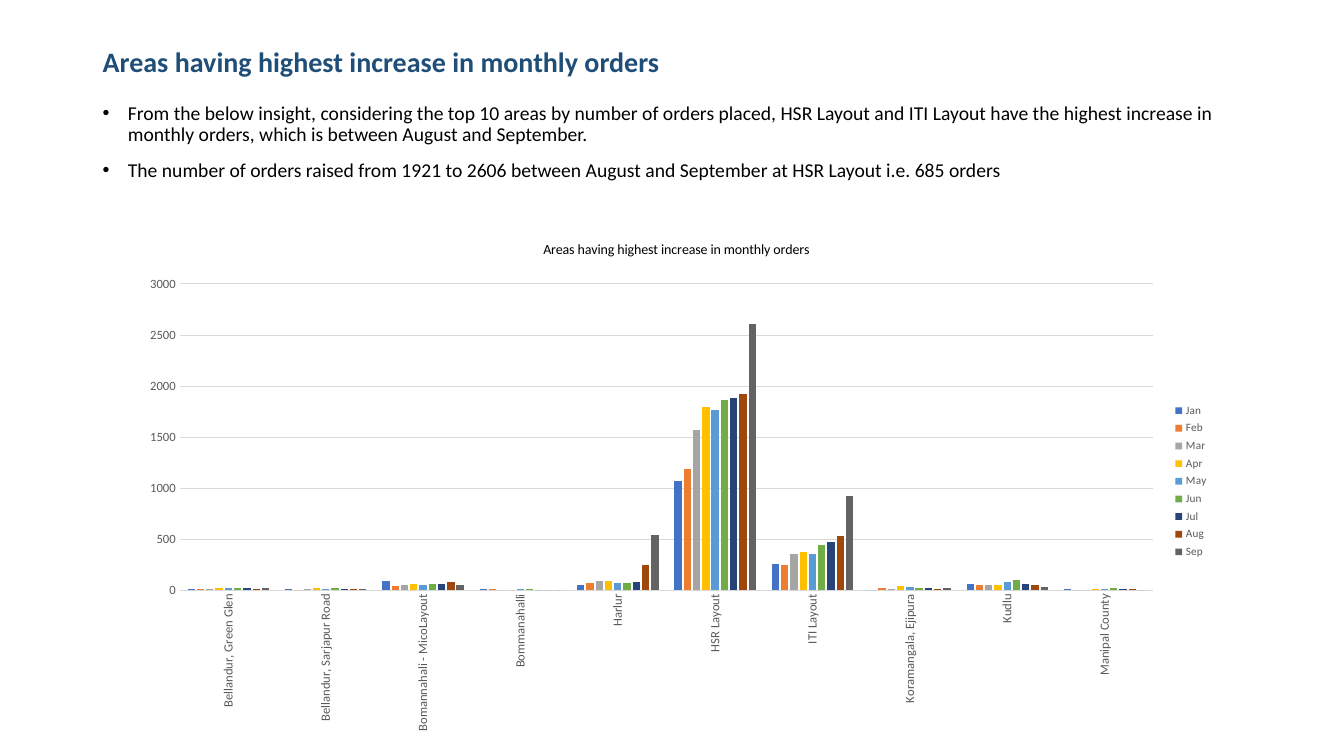
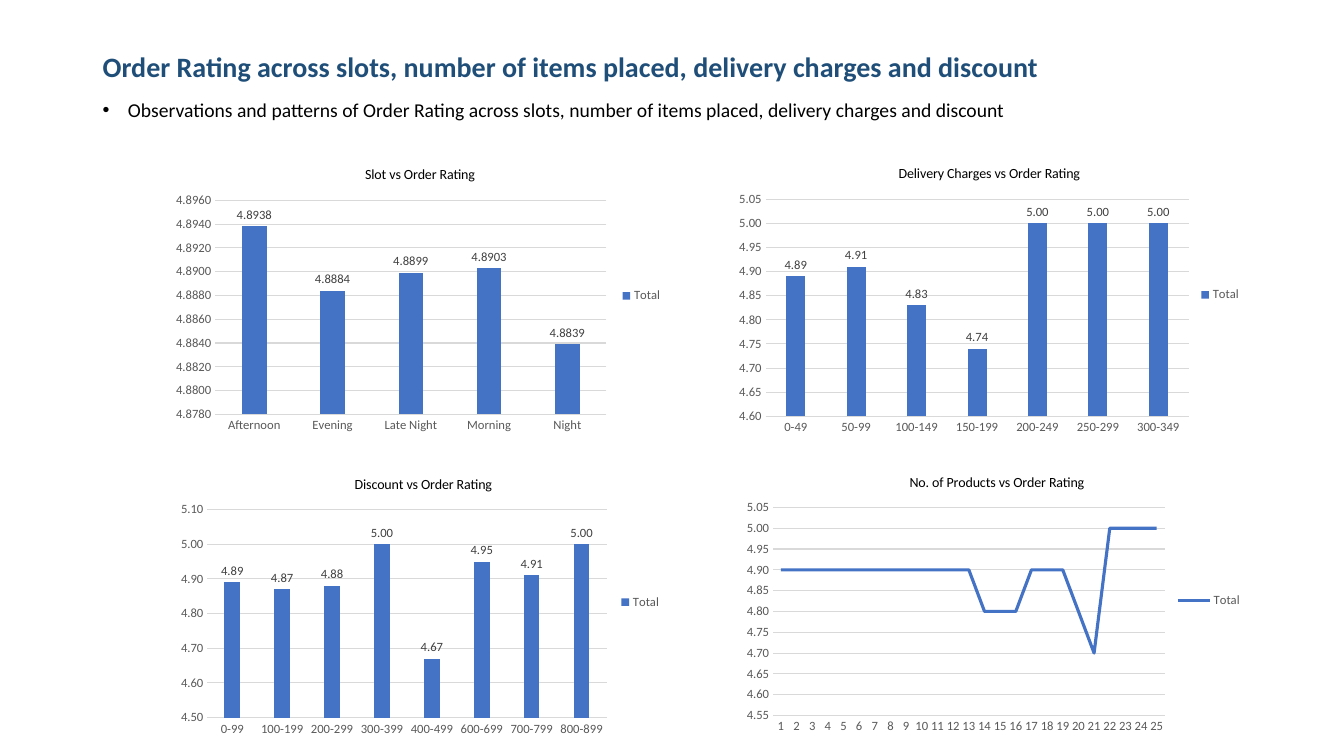
from dataclasses import dataclass, field

from lxml import etree
from pptx import Presentation
from pptx.chart.data import CategoryChartData
from pptx.dml.color import RGBColor
from pptx.enum.chart import (XL_CHART_TYPE, XL_LABEL_POSITION,
                             XL_LEGEND_POSITION, XL_TICK_MARK)
from pptx.enum.text import MSO_ANCHOR
from pptx.oxml.ns import qn
from pptx.util import Emu, Inches, Pt

COLUMN = XL_CHART_TYPE.COLUMN_CLUSTERED
LINE = XL_CHART_TYPE.LINE_STACKED
ABOVE = XL_LABEL_POSITION.OUTSIDE_END
RIGHT = XL_LEGEND_POSITION.RIGHT
NO_TICK = XL_TICK_MARK.NONE
TOP, MIDDLE = MSO_ANCHOR.TOP, MSO_ANCHOR.MIDDLE

WIDE, HIGH = Inches(13.33), Inches(7.5)


@dataclass(frozen=True)
class Theme:
    face: str = "Calibri"
    head: str = "1F4E79"
    ink: str = "000000"
    axis: str = "595959"
    label: str = "404040"
    rule: str = "D9D9D9"
    fills: tuple[str, ...] = ("4472C4", "ED7D31", "A5A5A5", "FFC000", "5B9BD5",
                              "70AD47", "264478", "9E480E", "636363")
    head_size: float = 20
    body_size: float = 14
    chart_size: float = 10
    axis_size: float = 9
    key_size: float = 8
    thin: float = 0.75
    thick: float = 2.25


THEME = Theme()


@dataclass(frozen=True)
class Box:
    """A place on the slide, in percent of its width and height."""
    left: float
    top: float
    width: float
    height: float

    def place(self) -> tuple[Emu, Emu, Emu, Emu]:
        return (Emu(int(WIDE * self.left / 100)), Emu(int(HIGH * self.top / 100)),
                Emu(int(WIDE * self.width / 100)), Emu(int(HIGH * self.height / 100)))


@dataclass(frozen=True)
class Scale:
    low: float
    high: float
    step: float
    form: str = "0.00"


@dataclass(frozen=True)
class Graph:
    """Title spot and plot frame are shares of the chart's own size."""
    title: str
    box: Box
    spot: tuple[float, float]
    frame: tuple[float, float, float, float]
    scale: Scale
    names: list[str]
    rows: dict[str, list[float]]
    kind: int = COLUMN
    labels: bool = True
    upright: bool = False
    key_size: float = THEME.axis_size


@dataclass(frozen=True)
class Page:
    title: str
    head: Box
    body: Box
    points: list[str]
    graphs: list[Graph] = field(default_factory=list)


def tint(code: str) -> RGBColor:
    return RGBColor.from_string(code)


def style(font, size: float, color: str, bold: bool = False) -> None:
    font.name, font.size, font.bold = THEME.face, Pt(size), bold
    font.color.rgb = tint(color)


def write(slide, box: Box, lines: list[str], *, size: float, color: str,
          bold: bool = False, anchor=TOP, bullet: bool = False) -> None:
    frame = slide.shapes.add_textbox(*box.place()).text_frame
    frame.word_wrap, frame.vertical_anchor = True, anchor
    for i, line in enumerate(lines):
        para = frame.paragraphs[0] if i == 0 else frame.add_paragraph()
        para.line_spacing = 0.9
        run = para.add_run()
        run.text = line
        style(run.font, size, color, bold)
        if bullet:
            para.space_before = Pt(10)
            props = para._p.get_or_add_pPr()
            props.set("marL", str(Inches(0.25)))
            props.set("indent", str(-Inches(0.25)))
            etree.SubElement(props, qn("a:buFont")).set("typeface", "Arial")
            etree.SubElement(props, qn("a:buChar")).set("char", "•")


def pin(part, shares: tuple[float, ...]) -> None:
    """Fix a chart part at x, y and, for the plot, width, height."""
    old = part.find(qn("c:layout"))
    if old is not None:
        part.remove(old)
    layout = etree.Element(qn("c:layout"))
    part.insert(0 if part.find(qn("c:tx")) is None else 1, layout)
    manual = etree.SubElement(layout, qn("c:manualLayout"))
    pairs = [("xMode", "edge"), ("yMode", "edge"), *zip("xywh", shares)]
    if len(shares) == 4:
        pairs.insert(0, ("layoutTarget", "inner"))
    for tag, value in pairs:
        etree.SubElement(manual, qn(f"c:{tag}")).set("val", str(value))


def set_axes(chart, graph: Graph) -> None:
    base, side = chart.category_axis, chart.value_axis
    for axis in (base, side):
        axis.major_tick_mark = axis.minor_tick_mark = NO_TICK
        style(axis.tick_labels.font, THEME.axis_size, THEME.axis)
    base.has_major_gridlines, side.has_major_gridlines = False, True
    for line in (base.format.line, side.major_gridlines.format.line):
        line.color.rgb, line.width = tint(THEME.rule), Pt(THEME.thin)
    side.format.line.fill.background()
    scale = graph.scale
    side.minimum_scale, side.maximum_scale = scale.low, scale.high
    side.major_unit = scale.step
    side.tick_labels.number_format = scale.form
    side.tick_labels.number_format_is_linked = False
    if graph.upright:
        turn = base._element.find(qn("c:txPr")).find(qn("a:bodyPr"))
        turn.set("rot", "-5400000")
        turn.set("vert", "horz")


def set_plot(plot, graph: Graph) -> None:
    plot.vary_by_categories = False
    for series, color in zip(plot.series, THEME.fills):
        if graph.kind == LINE:
            series.smooth = False
            series.format.line.color.rgb = tint(color)
            series.format.line.width = Pt(THEME.thick)
        else:
            series.format.fill.solid()
            series.format.fill.fore_color.rgb = tint(color)
    if graph.kind == COLUMN:
        plot.gap_width, plot.overlap = 219, -27
    if graph.labels:
        plot.has_data_labels = True
        labels = plot.data_labels
        labels.show_value, labels.position = True, ABOVE
        labels.number_format = graph.scale.form
        labels.number_format_is_linked = False
        style(labels.font, THEME.axis_size, THEME.label)


def draw(slide, graph: Graph) -> None:
    data = CategoryChartData(number_format=graph.scale.form)
    data.categories = graph.names
    for name, values in graph.rows.items():
        data.add_series(name, values)
    chart = slide.shapes.add_chart(graph.kind, *graph.box.place(), data).chart
    style(chart.font, THEME.chart_size, THEME.ink)
    chart.has_title = True
    frame = chart.chart_title.text_frame
    frame.text = graph.title
    style(frame.paragraphs[0].runs[0].font, THEME.chart_size, THEME.ink)
    chart.chart_title.include_in_layout = False
    chart.has_legend = True
    chart.legend.position, chart.legend.include_in_layout = RIGHT, False
    style(chart.legend.font, graph.key_size, THEME.axis)
    set_axes(chart, graph)
    set_plot(chart.plots[0], graph)
    root = chart.element.find(qn("c:chart"))
    pin(root.find(qn("c:title")), graph.spot)
    pin(root.find(qn("c:plotArea")), graph.frame)


AREAS = Graph(
    "Areas having highest increase in monthly orders",
    Box(9.3, 29.33, 81.4, 68.67), (0.38, 0.03), (0.05, 0.12, 0.89, 0.59),
    Scale(0, 3000, 500, "General"),
    ["Bellandur, Green Glen", "Bellandur, Sarjapur Road",
     "Bomannahali - MicoLayout", "Bommanahalli", "Harlur", "HSR Layout",
     "ITI Layout", "Koramangala, Ejipura", "Kudlu", "Manipal County"],
    {"Jan": [10, 10, 90, 10, 50, 1070, 260, 0, 60, 10],
     "Feb": [10, 0, 40, 10, 70, 1190, 250, 20, 50, 0],
     "Mar": [10, 10, 50, 0, 90, 1570, 350, 10, 50, 0],
     "Apr": [20, 20, 60, 0, 90, 1790, 370, 40, 50, 10],
     "May": [20, 10, 50, 10, 70, 1770, 350, 30, 80, 10],
     "Jun": [20, 20, 60, 10, 70, 1860, 440, 20, 100, 20],
     "Jul": [20, 10, 60, 0, 80, 1880, 470, 20, 60, 10],
     "Aug": [10, 10, 80, 0, 250, 1920, 530, 10, 50, 10],
     "Sep": [20, 10, 50, 0, 540, 2610, 920, 20, 30, 0]},
    labels=False, upright=True, key_size=THEME.key_size)

SLOTS = Graph(
    "Slot vs Order Rating", Box(12.23, 20, 37.81, 38.27),
    (0.39, 0.04), (0.1, 0.17, 0.77, 0.74),
    Scale(4.878, 4.896, 0.002, "0.0000"),
    ["Afternoon", "Evening", "Late Night", "Morning", "Night"],
    {"Total": [4.8938, 4.8884, 4.8899, 4.8903, 4.8839]})

CHARGES = Graph(
    "Delivery Charges vs Order Rating", Box(54.24, 19.87, 38.86, 38.27),
    (0.32, 0.04), (0.07, 0.17, 0.81, 0.75), Scale(4.6, 5.05, 0.05),
    ["0-49", "50-99", "100-149", "150-199", "200-249", "250-299", "300-349"],
    {"Total": [4.89, 4.91, 4.83, 4.74, 5, 5, 5]})

DISCOUNTS = Graph(
    "Discount vs Order Rating", Box(12.83, 61.07, 37.13, 37.2),
    (0.36, 0.04), (0.07, 0.17, 0.8, 0.74), Scale(4.5, 5.1, 0.1),
    ["0-99", "100-199", "200-299", "300-399", "400-499", "600-699",
     "700-799", "800-899"],
    {"Total": [4.89, 4.87, 4.88, 5, 4.67, 4.95, 4.91, 5]})

PRODUCTS = Graph(
    "No. of Products vs Order Rating", Box(54.84, 60.8, 38.33, 37.2),
    (0.33, 0.04), (0.07, 0.17, 0.76, 0.74), Scale(4.55, 5.05, 0.05),
    [str(n) for n in range(1, 26)],
    {"Total": [4.9, 4.9, 4.9, 4.9, 4.9, 4.9, 4.9, 4.9, 4.9, 4.9, 4.9, 4.9, 4.9,
               4.8, 4.8, 4.8, 4.9, 4.9, 4.9, 4.8, 4.7, 5, 5, 5, 5]},
    kind=LINE, labels=False)

PAGES = [
    Page("Areas having highest increase in monthly orders",
         Box(6.9, 5.33, 86.27, 6.13), Box(6.9, 13.07, 86.27, 16.4),
         ["From the below insight, considering the top 10 areas by number of "
          "orders placed, HSR Layout and ITI Layout have the highest increase "
          "in monthly orders, which is between August and September.",
          "The number of orders raised from 1921 to 2606 between August and "
          "September at HSR Layout i.e. 685 orders"],
         [AREAS]),
    Page("Order Rating across slots, number of items placed, delivery charges "
         "and discount",
         Box(6.9, 5.33, 86.27, 7.33), Box(6.9, 12.67, 86.27, 4.53),
         ["Observations and patterns of Order Rating across slots, number of "
          "items placed, delivery charges and discount"],
         [SLOTS, CHARGES, DISCOUNTS, PRODUCTS]),
]


def main() -> None:
    deck = Presentation()
    deck.slide_width, deck.slide_height = WIDE, HIGH
    for page in PAGES:
        slide = deck.slides.add_slide(deck.slide_layouts[6])
        write(slide, page.head, [page.title], size=THEME.head_size,
              color=THEME.head, bold=True, anchor=MIDDLE)
        write(slide, page.body, page.points, size=THEME.body_size,
              color=THEME.ink, bullet=True)
        for graph in page.graphs:
            draw(slide, graph)
    deck.save("out.pptx")


if __name__ == "__main__":
    main()
